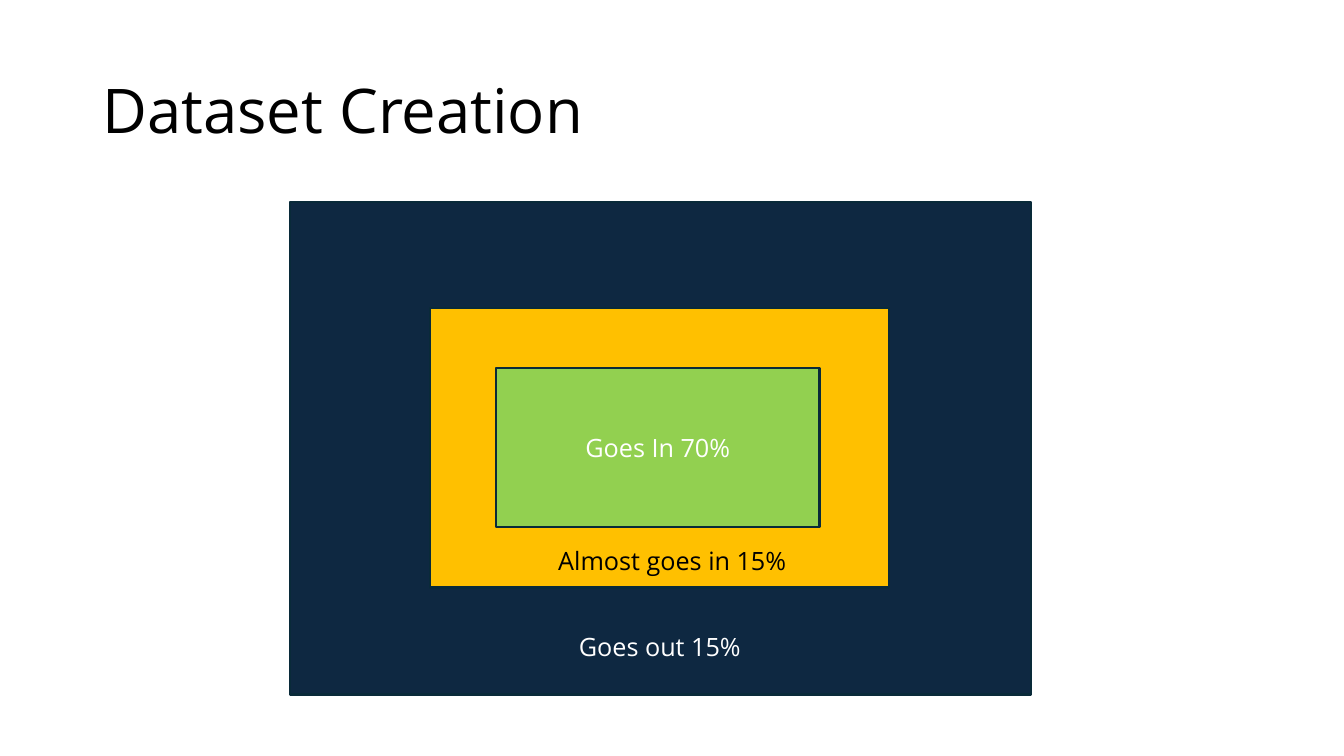
from pptx import Presentation
from pptx.dml.color import RGBColor
from pptx.enum.shapes import MSO_SHAPE
from pptx.enum.text import MSO_ANCHOR, MSO_AUTO_SIZE, PP_ALIGN
from pptx.util import Pt

RECT = MSO_SHAPE.RECTANGLE
MIDDLE = MSO_ANCHOR.MIDDLE
NO_FIT = MSO_AUTO_SIZE.NONE
GROW = MSO_AUTO_SIZE.SHAPE_TO_FIT_TEXT
LEFT = PP_ALIGN.LEFT
CENTER = PP_ALIGN.CENTER

BLACK = RGBColor(0x00, 0x00, 0x00)
WHITE = RGBColor(0xFF, 0xFF, 0xFF)
NAVY = RGBColor(0x0E, 0x28, 0x41)
EDGE = RGBColor(0x09, 0x2A, 0x39)
AMBER = RGBColor(0xFF, 0xC0, 0x00)
GREEN = RGBColor(0x92, 0xD0, 0x50)
FONT = "Open Sans"


def write(frame, text, size, color, align):
    frame.word_wrap = True
    frame.text = text
    para = frame.paragraphs[0]
    para.alignment = align
    font = para.runs[0].font
    font.name = FONT
    font.size = Pt(size)
    font.color.rgb = color
    return para


def add_title(slide, box, text):
    title = slide.shapes.title
    title.left, title.top, title.width, title.height = map(Pt, box)
    frame = title.text_frame
    frame.auto_size = NO_FIT
    frame.vertical_anchor = MIDDLE
    para = write(frame, text, 44, BLACK, LEFT)
    para.line_spacing = 0.9


def add_panel(group, box, fill):
    panel = group.shapes.add_shape(RECT, *map(Pt, box))
    panel.shadow.inherit = False
    panel.fill.solid()
    panel.fill.fore_color.rgb = fill
    panel.line.color.rgb = EDGE
    panel.line.width = Pt(1.5)
    return panel


def add_label(group, box, text, color):
    label = group.shapes.add_textbox(*map(Pt, box))
    write(label.text_frame, text, 18, color, CENTER)
    label.text_frame.auto_size = GROW


def add_zones(slide, box):
    left, top, width, height = box
    group = slide.shapes.add_group_shape()
    add_panel(group, box, NAVY)
    add_panel(group, (left + 100, top + 76.3, 327.6, 199.4), AMBER)
    core = add_panel(group, (left + 146.9, top + 118.8, 231.1, 113.8), GREEN)
    core.text_frame.vertical_anchor = MIDDLE
    write(core.text_frame, "Goes In 70%", 18, WHITE, CENTER)
    add_label(group, (left + 180.7, top + 241.9, 184.3, 28.8),
              "Almost goes in 15%", BLACK)
    add_label(group, (left + 187.2, top + 303.1, 153.4, 28.8),
              "Goes out 15%", WHITE)


def main():
    deck = Presentation()
    deck.slide_width = Pt(960)
    deck.slide_height = Pt(540)
    slide = deck.slides.add_slide(deck.slide_layouts[5])
    add_title(slide, (66, 28.8, 828, 104.4), "Dataset Creation")
    add_zones(slide, (207.4, 144, 529.2, 352.1))
    deck.save("out.pptx")


if __name__ == "__main__":
    main()
